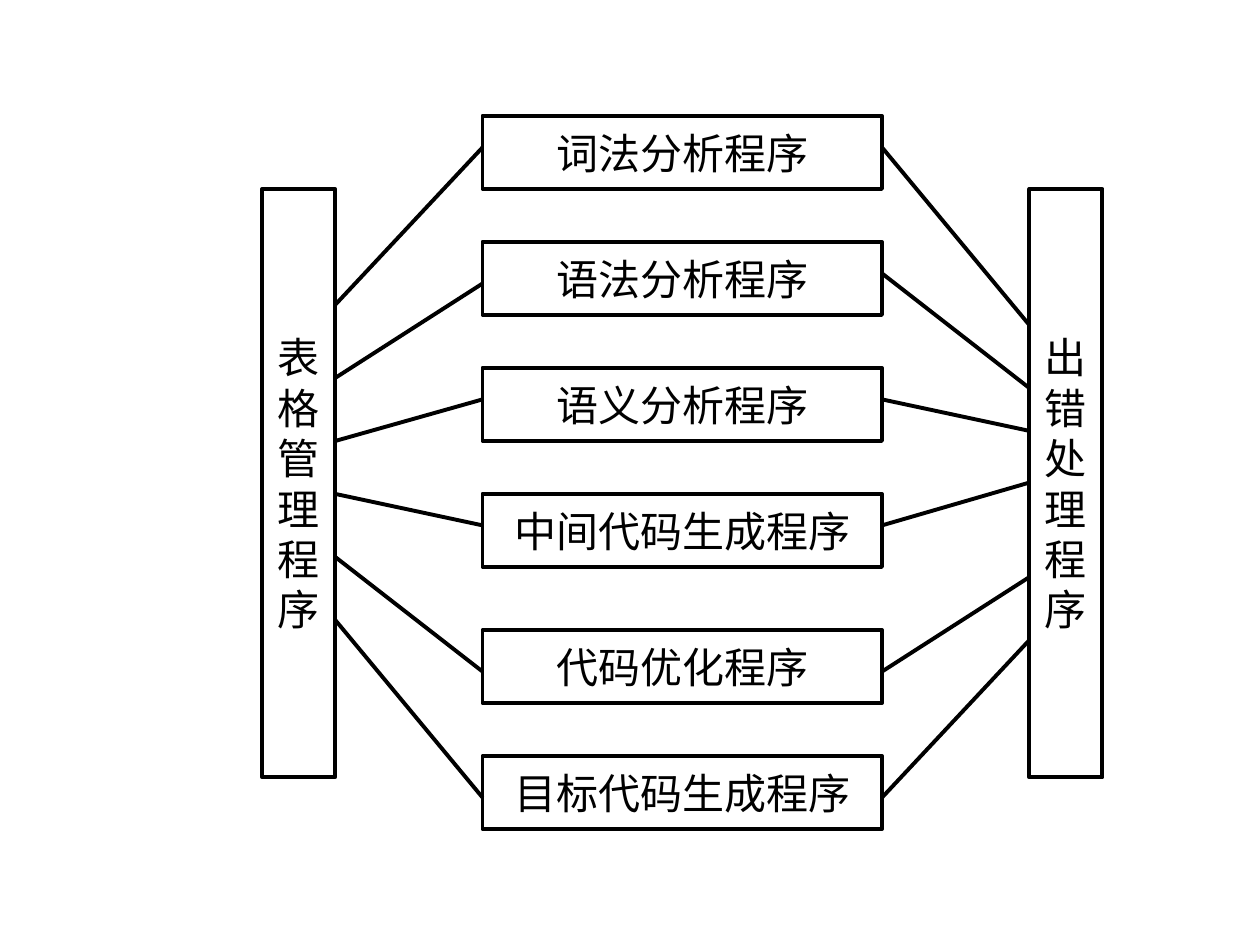
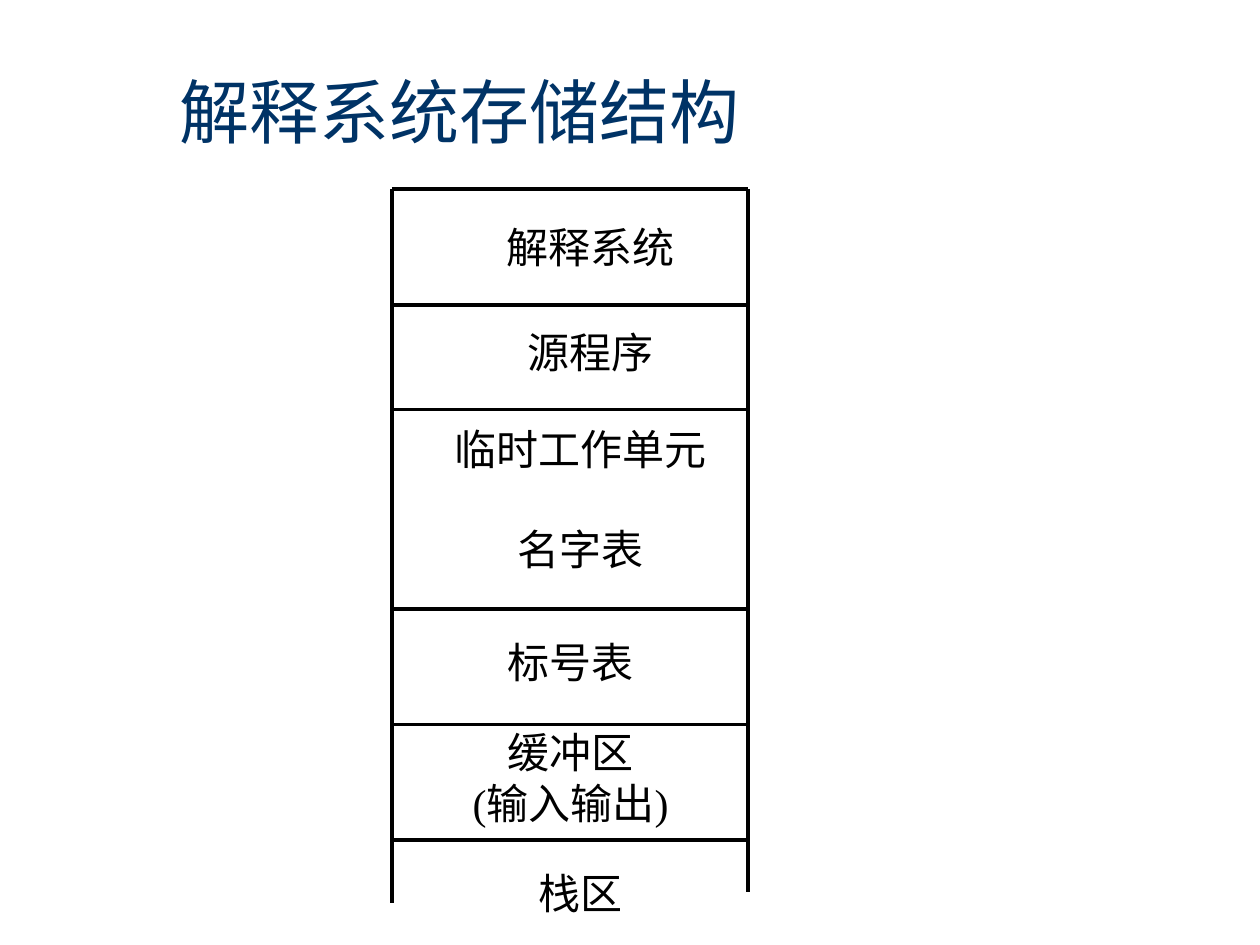
from lxml import etree
from pptx import Presentation
from pptx import util as u
from pptx.dml.color import RGBColor
from pptx.enum import shapes, text
from pptx.oxml.ns import qn

FONT = "Times New Roman"
BLACK, WHITE, NAVY = "000000", "FFFFFF", "003366"
LINE_WIDTH = u.Pt(2.25)
BODY_SIZE, TITLE_SIZE = 24, 40
BLANK_LINE = 28.5


def color(hex_text):
    return RGBColor.from_string(hex_text)


def write(sp, lines, size, ink, align, wrap, gap=0):
    """Fill a shape with one paragraph per line, gap points apart."""
    tf = sp.text_frame
    frame_format = {
        "word_wrap": wrap, "vertical_anchor": text.MSO_ANCHOR.MIDDLE,
        "margin_left": u.Inches(0.1), "margin_right": u.Inches(0.1),
        "margin_top": u.Inches(0.05), "margin_bottom": u.Inches(0.05),
    }
    for name, value in frame_format.items():
        setattr(tf, name, value)
    for i, line in enumerate(lines):
        p = tf.paragraphs[0] if i == 0 else tf.add_paragraph()
        p.alignment = align
        if i and gap:
            p.space_before = u.Pt(gap)
        r = p.add_run()
        r.text = line
        for name, value in {"name": FONT, "size": u.Pt(size)}.items():
            setattr(r.font, name, value)
        r.font.color.rgb = color(ink)


def add_box(s, x, y, w, h, lines, border=BLACK, gap=0):
    sp = s.shapes.add_shape(shapes.MSO_SHAPE.RECTANGLE, *map(u.Inches, (x, y, w, h)))
    sp.shadow.inherit = False
    sp.fill.solid()
    sp.fill.fore_color.rgb = color(WHITE)
    sp.line.color.rgb = color(border)
    sp.line.width = LINE_WIDTH
    write(sp, lines, BODY_SIZE, BLACK, text.PP_ALIGN.CENTER, False, gap)


def add_line(s, x1, y1, x2, y2):
    c = s.shapes.add_connector(shapes.MSO_CONNECTOR.STRAIGHT,
                               *map(u.Inches, (x1, y1, x2, y2)))
    c.line.color.rgb = color(BLACK)
    c.line.width = LINE_WIDTH
    etree.SubElement(c._element.spPr, qn("a:effectLst"))


def add_title(s, x, y, w, h, title):
    sp = s.shapes.add_textbox(*map(u.Inches, (x, y, w, h)))
    write(sp, [title], TITLE_SIZE, NAVY, text.PP_ALIGN.LEFT, True)


def compiler_diagram(s, x, y, w):
    """Six phases between two tall side programs, joined by slanted lines."""
    side_w, side_h, side_top = 0.58, 4.67, 0.58
    phase_x, phase_w, phase_h = 1.75, 3.17, 0.58
    # name, top, then line heights: phase left, table side, phase right, error side
    phases = [
        ("词法分析程序", 0, 0.25, 1.5, 0.25, 1.66),
        ("语法分析程序", 1, 1.33, 2.08, 1.25, 2.16),
        ("语义分析程序", 2, 2.25, 2.58, 2.25, 2.5),
        ("中间代码生成程序", 3, 3.25, 3, 3.25, 2.91),
        ("代码优化程序", 4.08, 4.41, 3.5, 4.41, 3.66),
        ("目标代码生成程序", 5.08, 5.41, 4, 5.41, 4.16),
    ]
    # Side programs, one character per line
    for side_x, name in ((x, "表格管理程序"), (x + w - side_w, "出错处理程序")):
        add_box(s, side_x, y + side_top, side_w, side_h, list(name))
    # Phases and their lines
    left, right = x + phase_x, x + phase_x + phase_w
    for name, top, left_y, table_y, right_y, error_y in phases:
        add_box(s, left, y + top, phase_w, phase_h, [name])
        add_line(s, left, y + left_y, x + side_w, y + table_y)
        add_line(s, x + w - side_w, y + error_y, right, y + right_y)


def storage_diagram(s, x, y, w):
    """Memory stack, open at the bottom, with a label in each area."""
    left_h, right_h = 5.67, 5.58
    rules = [0, 0.92, 1.75, 3.33, 4.25, 5.17]
    # lines, left, top, height, gap between the lines
    labels = [
        (["解释系统"], 1.08, 0.25, 0.42, 0),
        (["源程序"], 1.08, 1.08, 0.42, 0),
        (["临时工作单元", "名字表"], 1, 1.92, 1.08, BLANK_LINE),
        (["标号表"], 0.92, 3.5, 0.5, 0),
        (["缓冲区", "(输入输出)"], 0.92, 4.42, 0.5, 0),
        (["栈区"], 1, 5.42, 0.33, 0),
    ]
    # Walls and dividers
    add_line(s, x, y, x, y + left_h)
    add_line(s, x + w, y, x + w, y + right_h)
    for rule in rules:
        add_line(s, x, y + rule, x + w, y + rule)
    # Area labels
    for lines, label_x, top, h, gap in labels:
        add_box(s, x + label_x, y + top, 1, h, lines, WHITE, gap)


def main():
    prs = Presentation()
    prs.slide_width, prs.slide_height = u.Inches(10), u.Inches(7.5)
    blank = prs.slide_layouts[6]

    compiler_diagram(prs.slides.add_slide(blank), 2.08, 0.92, 6.67)

    s = prs.slides.add_slide(blank)
    add_title(s, 1.33, 0.25, 8.17, 1.25, "解释系统存储结构")
    storage_diagram(s, 3.11, 1.5, 2.83)

    prs.save("out.pptx")


if __name__ == "__main__":
    main()
